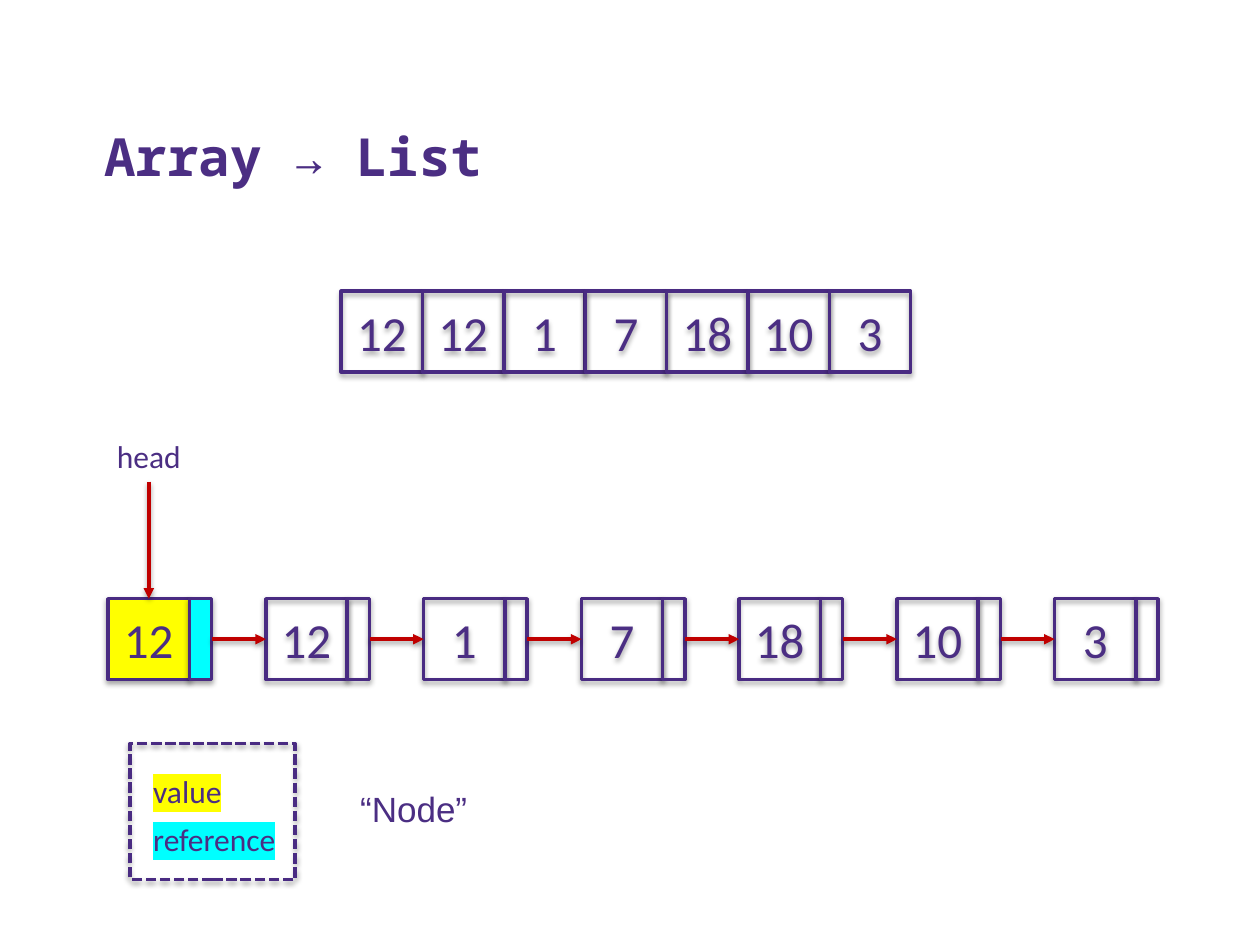
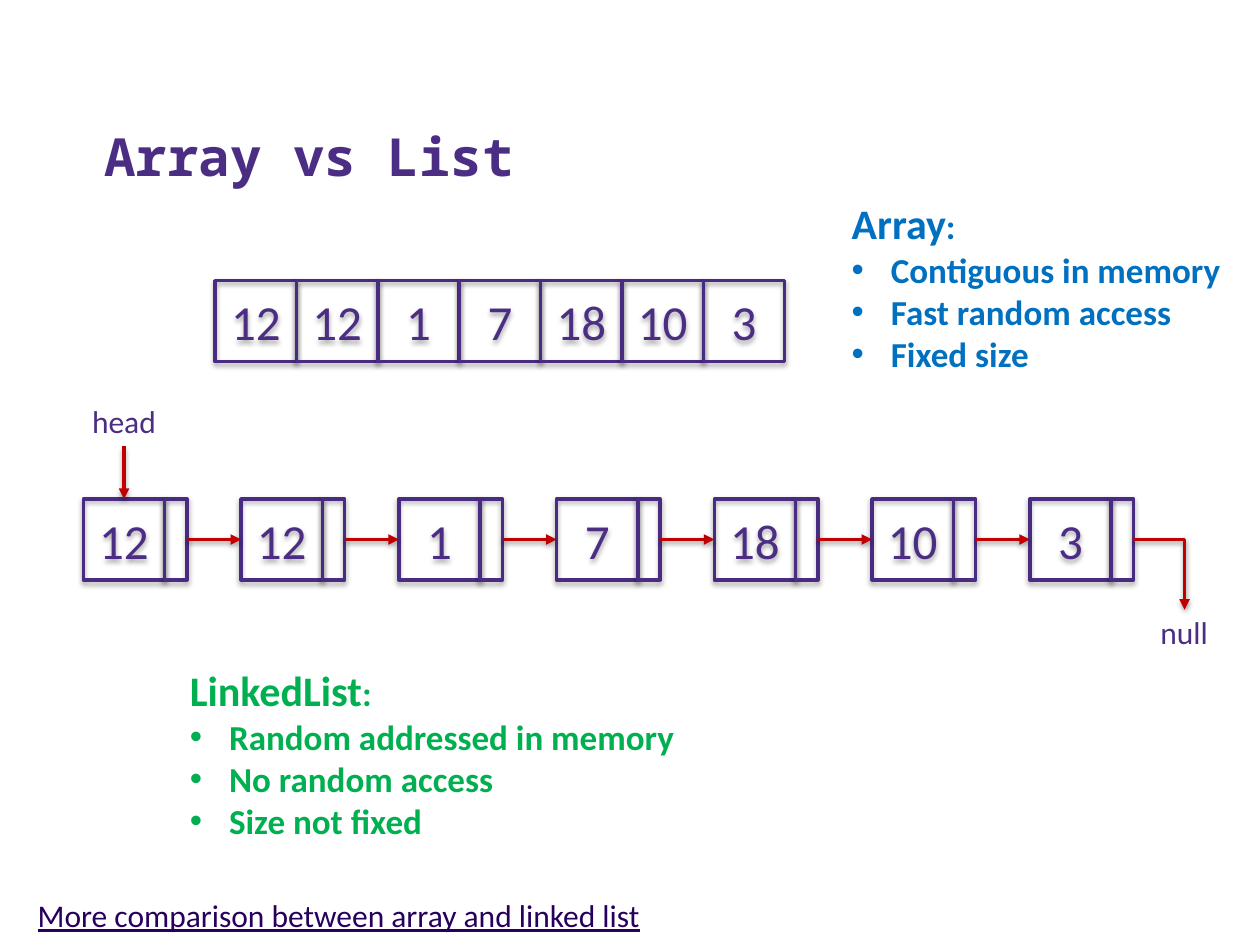
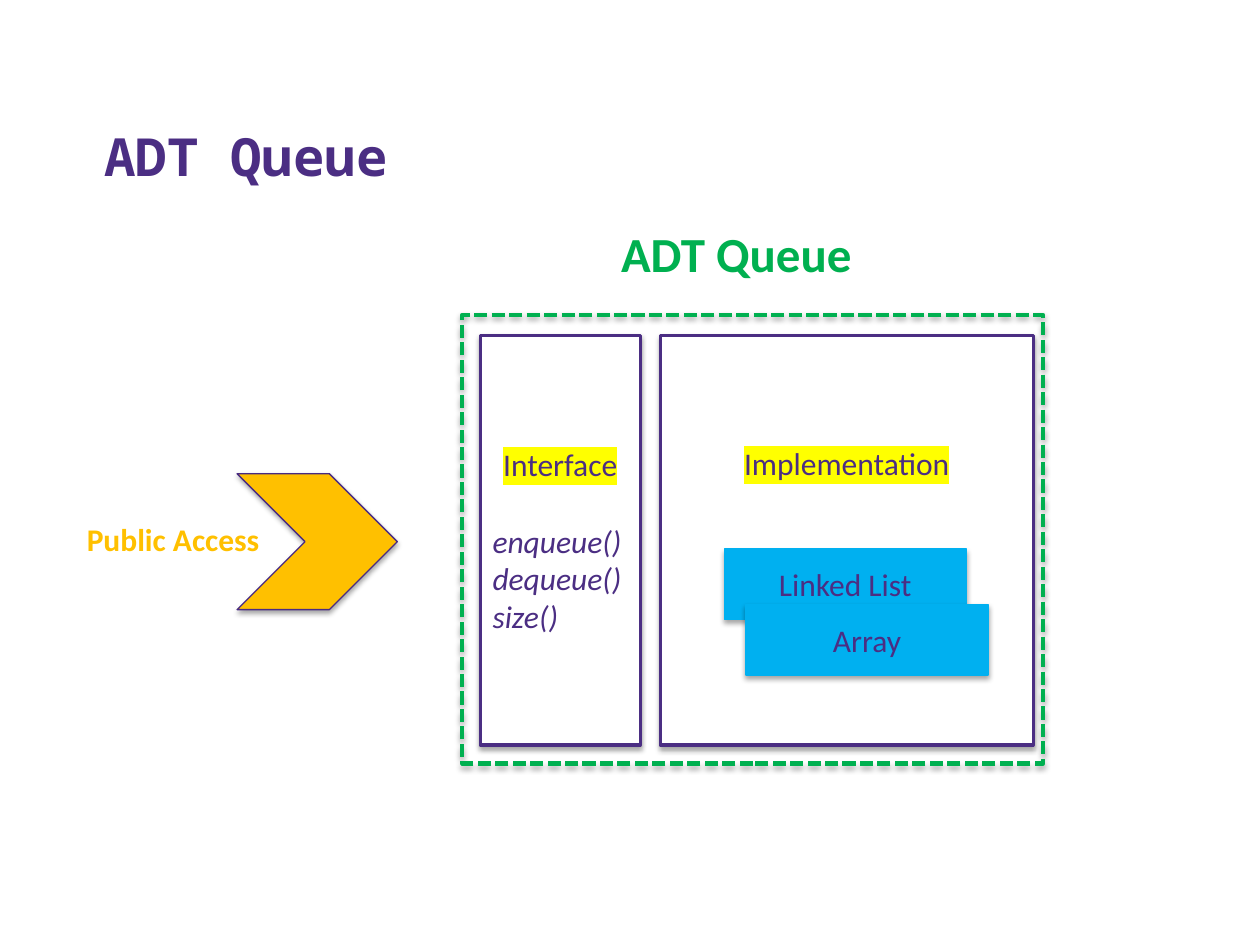
import lxml.etree
import pptx
import pptx.dml.color
import pptx.enum.dml
import pptx.enum.shapes
import pptx.enum.text
import pptx.oxml.ns
import pptx.util

Cm, Pt = pptx.util.Cm, pptx.util.Pt
qn = pptx.oxml.ns.qn
SubElement = lxml.etree.SubElement
rgb = pptx.dml.color.RGBColor.from_string
SHAPE = pptx.enum.shapes.MSO_SHAPE
TYPE = pptx.enum.shapes.MSO_SHAPE_TYPE
CONNECTOR = pptx.enum.shapes.MSO_CONNECTOR
ALIGN = pptx.enum.text.PP_ALIGN
ANCHOR = pptx.enum.text.MSO_ANCHOR
AUTO_SIZE = pptx.enum.text.MSO_AUTO_SIZE

# Shared colours and sizes
PURPLE, OUTLINE, RED = "4B2E83", "492B82", "C00000"
YELLOW, CYAN, GREEN, BLUE = "FFFF00", "00FFFF", "00B050", "0070C0"
AMBER, SKY, WHITE = "FFC000", "00B0F0", "FFFFFF"
VALUES = ["12", "12", "1", "7", "18", "10", "3"]
CELL_W, CELL_H, REF_W, NODE_STEP = 1.64, 1.63, 0.45, 3.18


def write(tf, paras, align=ALIGN.LEFT, **base):
    """Fill a text frame; each paragraph is a list of (text, format) runs."""
    for i, runs in enumerate(paras):
        p = tf.paragraphs[0] if i == 0 else tf.add_paragraph()
        p.alignment = align
        for text, extra in runs:
            fmt = {"name": "Calibri", "size": 18, "color": PURPLE, **base, **extra}
            r = p.add_run()
            r.text = text
            r.font.color.rgb = rgb(fmt.pop("color"))
            highlight = fmt.pop("highlight", None)
            fmt["size"] = Pt(fmt["size"])
            for key, value in fmt.items():
                setattr(r.font, key, value)
            if highlight:
                mark = lxml.etree.Element(qn("a:highlight"))
                SubElement(mark, qn("a:srgbClr")).set("val", highlight)
                r.font._element.find(qn("a:solidFill")).addnext(mark)


def box(s, at, paras=(), kind=SHAPE.RECTANGLE, fill=None, line=OUTLINE,
        width=2, dash=None, align=ALIGN.CENTER, **base):
    """Add a preset shape, or a text box when kind is None."""
    at = [Cm(v) for v in at]
    if kind is None:
        sp = s.shapes.add_textbox(*at)
        sp.text_frame.word_wrap = False
        sp.text_frame.auto_size = AUTO_SIZE.SHAPE_TO_FIT_TEXT
    else:
        sp = s.shapes.add_shape(kind, *at)
        sp.text_frame.vertical_anchor = ANCHOR.MIDDLE
        if fill:
            sp.fill.solid()
            sp.fill.fore_color.rgb = rgb(fill)
        else:
            sp.fill.background()
        sp.line.color.rgb = rgb(line)
        sp.line.width = Pt(width)
        if dash:
            sp.line.dash_style = dash
    write(sp.text_frame, paras, align, **base)
    return sp


prs = pptx.Presentation()
prs.slide_width, prs.slide_height = Cm(25.4), Cm(19.05)
DASH = pptx.enum.dml.MSO_LINE.SQUARE_DOT

# Slides and titles
slides = []
for title in ["Array → List", "Array vs List", "ADT Queue"]:
    s = prs.slides.add_slide(prs.slide_layouts[5])
    sp = s.shapes.title
    sp.left, sp.top, sp.width, sp.height = Cm(1.85), Cm(1.04), Cm(22.73), Cm(2.74)
    tf = sp.text_frame
    tf.auto_size = AUTO_SIZE.NONE
    tf.vertical_anchor = ANCHOR.BOTTOM
    tf.margin_bottom = 0
    write(tf, [[(title, {})]], name="Noto Sans Mono", size=30, bold=True)
    slides.append(s)
s1, s2, s3 = slides

# Array row and linked list on the first two slides
last_refs = []
for s, array_x, array_y, list_x, list_y, head_y, first_fills in [
        (s1, 6.88, 5.87, 2.18, 12.07, 8.69, (YELLOW, CYAN)),
        (s2, 4.34, 5.66, 1.68, 10.06, 7.98, (None, None))]:
    for i, value in enumerate(VALUES):
        box(s, (array_x + i * CELL_W, array_y, CELL_W, CELL_H), [[(value, {})]], size=28)

    head = box(s, (list_x - 0.22, head_y, 2.08, 1.02), [[("head", {})]], kind=None)
    previous = head
    for i, value in enumerate(VALUES):
        x = list_x + i * NODE_STEP
        value_fill, ref_fill = first_fills if i == 0 else (None, None)
        cell = box(s, (x, list_y, CELL_W, CELL_H), [[(value, {})]], fill=value_fill, size=28)
        ref = box(s, (x + CELL_W, list_y, REF_W, CELL_H), fill=ref_fill)
        arrow = s.shapes.add_connector(CONNECTOR.STRAIGHT, 0, 0, 0, 0)
        arrow.begin_connect(previous, 2 if i == 0 else 3)
        arrow.end_connect(cell, 0 if i == 0 else 1)
        previous = ref
    last_refs.append(ref)

# Slide 1: legend of a node
box(s1, (2.62, 14.99, 3.33, 2.74), dash=DASH)
for word, y, w, colour in [("value", 15.44, 1.9, YELLOW), ("reference", 16.41, 3.0, CYAN)]:
    box(s1, (2.84, y, w, 1.02), [[(word, {})]], kind=None, align=ALIGN.LEFT, highlight=colour)
box(s1, (7.01, 15.75, 3.2, 1.12), [[("“Node”", {})]], kind=None, align=ALIGN.LEFT,
    name="Arial", size=20)

# Slide 2: null at the end of the list
box(s2, (22.83, 12.24, 2.08, 1.02), [[("null", {})]], kind=None)
elbow = s2.shapes.add_connector(CONNECTOR.ELBOW, 0, 0, Cm(23.88), Cm(12.29))
elbow.begin_connect(last_refs[1], 3)
elbow._element.spPr.find(qn("a:prstGeom")).set("prst", "bentConnector2")

# Slide 2: properties of both structures
for at, name, colour, points in [
        ((16.92, 3.86, 8.03, 3.84), "Array", BLUE,
         ["Contiguous in memory", "Fast random access", "Fixed size"]),
        ((3.58, 13.28, 10.36, 3.84), "LinkedList", GREEN,
         ["Random addressed in memory", "No random access", "Size not fixed"])]:
    paras = [[(name, {"size": 24}), (":", {})]] + [[(point, {})] for point in points]
    sp = box(s2, at, paras, kind=None, align=ALIGN.LEFT, size=20, color=colour, bold=True)
    for p in sp.text_frame.paragraphs[1:]:
        pPr = p._p.get_or_add_pPr()
        pPr.set("marL", str(Cm(0.79)))
        pPr.set("indent", str(-Cm(0.79)))
        SubElement(pPr, qn("a:buFont")).set("typeface", "Arial")
        SubElement(pPr, qn("a:buChar")).set("char", "•")
box(s2, (0.51, 17.93, 12.8, 1.02), [[("More comparison between array and linked list", {})]],
    kind=None, align=ALIGN.LEFT, color="26005C", underline=True)

# Slide 3: interface and implementation
sp = box(s3, (13.31, 6.76, 7.52, 8.26), [[("Implementation", {"highlight": YELLOW})]],
         fill=WHITE, line=PURPLE, width=1.75)
sp.text_frame.margin_bottom = Cm(3.23)
methods = ["enqueue()", "dequeue()", "size()"]
sp = box(s3, (9.68, 6.76, 3.23, 8.26),
         [[("Interface", {"highlight": YELLOW})]] + [[(m, {"italic": True})] for m in methods],
         fill=WHITE, line=PURPLE, width=1.75, align=ALIGN.LEFT)
heading, first_method = sp.text_frame.paragraphs[:2]
heading.alignment = ALIGN.CENTER
first_method.space_before = Pt(22)

# Slide 3: queue frame and public access
box(s3, (12.27, 4.39, 5.21, 1.45), [[("ADT Queue", {})]], kind=None, align=ALIGN.LEFT,
    size=28, color=GREEN, bold=True)
box(s3, (4.78, 9.55, 3.23, 2.74), kind=SHAPE.CHEVRON, fill=AMBER, width=0.75)
box(s3, (9.32, 6.35, 11.71, 9.04), line=GREEN, width=2.5, dash=DASH)
box(s3, (1.5, 10.36, 4.01, 1.02), [[("Public Access", {})]], kind=None, align=ALIGN.LEFT,
    color=AMBER, bold=True)
for name, x, y in [("Linked List", 14.6, 11.07), ("Array", 15.04, 12.19)]:
    box(s3, (x, y, 4.88, 1.42), [[(name, {})]], fill=SKY, line=SKY, width=0.75)

# Arrow style and soft shadows
for s in slides:
    for sp in s.shapes:
        if sp.shape_type not in (TYPE.LINE, TYPE.AUTO_SHAPE):
            continue
        spPr = sp._element.spPr
        distance, alpha = 1.8, 35000
        if sp.shape_type == TYPE.LINE:
            distance, alpha = 1.6, 38000
            sp.line.color.rgb = rgb(RED)
            sp.line.width = Pt(2)
            SubElement(spPr.find(qn("a:ln")), qn("a:tailEnd")).set("type", "triangle")
        shadow = SubElement(SubElement(spPr, qn("a:effectLst")), qn("a:outerShdw"))
        for key, value in {"blurRad": Pt(3.1), "dist": Pt(distance), "dir": 5400000,
                           "rotWithShape": 0}.items():
            shadow.set(key, str(value))
        black = SubElement(shadow, qn("a:srgbClr"))
        black.set("val", "000000")
        SubElement(black, qn("a:alpha")).set("val", str(alpha))

prs.save("out.pptx")
